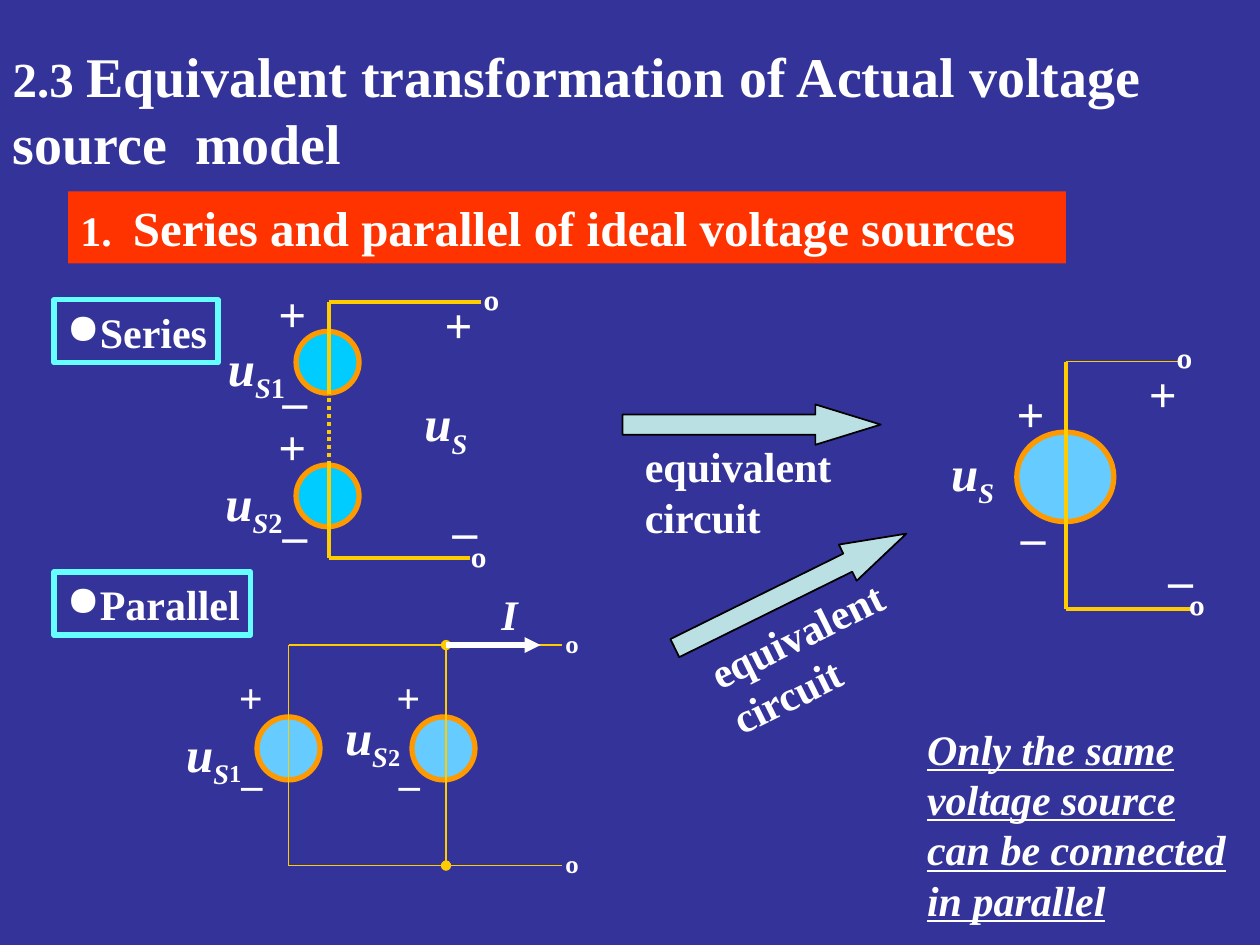
from typing import NamedTuple

from lxml.etree import SubElement
from pptx import Presentation
from pptx.dml.color import RGBColor
from pptx.enum.dml import MSO_LINE
from pptx.enum.shapes import MSO_CONNECTOR, MSO_SHAPE
from pptx.enum.text import MSO_ANCHOR, MSO_AUTO_SIZE, PP_ALIGN
from pptx.oxml.ns import qn
from pptx.util import Inches, Pt

FONT = "Times New Roman"
NAVY = RGBColor(0x33, 0x33, 0x99)
WHITE = RGBColor(0xFF, 0xFF, 0xFF)
BLACK = RGBColor(0x00, 0x00, 0x00)
RED = RGBColor(0xFF, 0x33, 0x00)
AQUA = RGBColor(0x66, 0xFF, 0xFF)
PALE_TEAL = RGBColor(0xBB, 0xE0, 0xE3)
SKY = RGBColor(0x66, 0xCC, 0xFF)
CYAN = RGBColor(0x00, 0xCC, 0xFF)
ORANGE = RGBColor(0xFF, 0x99, 0x00)
YELLOW = RGBColor(0xFF, 0xCC, 0x00)


class Box(NamedTuple):
    left: float
    top: float
    width: float
    height: float


class Span(NamedTuple):
    text: str
    size: float
    italic: bool = False
    underline: bool = False
    subscript: bool = False


class Source(NamedTuple):
    box: Box
    fill: RGBColor


class Mark(NamedTuple):
    text: str
    x: float  # centre of the mark's box
    y: float
    size: float = 28


class Name(NamedTuple):
    index: str
    left: float
    top: float
    index_size: float = 28


class Wire(NamedTuple):
    x1: float
    y1: float
    x2: float
    y2: float
    width: float = 2.25
    color: RGBColor = YELLOW
    dash: MSO_LINE | None = None
    head: str = ""
    tail: str = ""


class Circuit(NamedTuple):
    sources: list[Source]
    wires: list[Wire]
    marks: list[Mark]
    names: list[Name]


def write(shape, spans: list[Span], wrap: bool = True, align=PP_ALIGN.LEFT,
          anchor=MSO_ANCHOR.TOP, bullet: str = "") -> None:
    frame = shape.text_frame
    frame.auto_size = MSO_AUTO_SIZE.NONE
    frame.word_wrap = wrap
    frame.vertical_anchor = anchor
    paragraph = frame.paragraphs[0]
    paragraph.alignment = align
    paragraph.space_before = Pt(0)
    if bullet:
        SubElement(paragraph._p.get_or_add_pPr(), qn("a:buChar")).set("char", bullet)
    for span in spans:
        run = paragraph.add_run()
        run.text = span.text
        font = run.font
        font.name, font.size, font.bold = FONT, Pt(span.size), True
        font.italic, font.underline = span.italic, span.underline
        font.color.rgb = WHITE
        if span.subscript:
            run._r.get_or_add_rPr().set("baseline", "-25000")


def add_text(slide, box: Box, spans: list[Span], **options):
    shape = slide.shapes.add_textbox(*map(Inches, box))
    write(shape, spans, **options)
    return shape


def add_figure(slide, kind, box: Box, fill: RGBColor | None = None,
               line: RGBColor | None = None, line_width: float = 3):
    shape = slide.shapes.add_shape(kind, *map(Inches, box))
    shape.shadow.inherit = False
    if fill is None:
        shape.fill.background()
    else:
        shape.fill.solid()
        shape.fill.fore_color.rgb = fill
    if line is None:
        shape.line.fill.background()
    else:
        shape.line.color.rgb = line
        shape.line.width = Pt(line_width)
    return shape


def add_wire(slide, wire: Wire) -> None:
    connector = slide.shapes.add_connector(
        MSO_CONNECTOR.STRAIGHT, *map(Inches, (wire.x1, wire.y1, wire.x2, wire.y2)))
    connector.line.color.rgb = wire.color
    connector.line.width = Pt(wire.width)
    if wire.dash:
        connector.line.dash_style = wire.dash
    line = connector.line._get_or_add_ln()
    for tag, kind in (("a:headEnd", wire.head), ("a:tailEnd", wire.tail)):
        if kind:
            SubElement(line, qn(tag)).set("type", kind)
    SubElement(connector._element.spPr, qn("a:effectLst"))


def add_circuit(slide, circuit: Circuit) -> None:
    for source in circuit.sources:
        add_figure(slide, MSO_SHAPE.OVAL, source.box, source.fill, ORANGE)
    for wire in circuit.wires:
        add_wire(slide, wire)
    for mark in circuit.marks:
        box = Box(mark.x - 0.22, mark.y - 0.28, 0.44, 0.56)
        add_text(slide, box, [Span(mark.text, mark.size)],
                 align=PP_ALIGN.CENTER, anchor=MSO_ANCHOR.MIDDLE)
    for name in circuit.names:
        spans = [Span("u", 28, italic=True), Span("S", 28, italic=True, subscript=True)]
        if name.index:
            spans.append(Span(name.index, name.index_size, subscript=True))
        add_text(slide, Box(name.left, name.top, 0.83, 0.57), spans)


def add_equivalence(slide, arrow_box: Box, text_box: Box, rotation: float = 0) -> None:
    arrow = add_figure(slide, MSO_SHAPE.RIGHT_ARROW, arrow_box, PALE_TEAL, BLACK, 1)
    arrow.adjustments[0], arrow.adjustments[1] = 0.5, 1.62
    caption = add_text(slide, text_box, [Span("equivalent circuit", 24)])
    arrow.rotation = caption.rotation = rotation


SERIES = Circuit(
    [Source(Box(2.35, top, 0.5, 0.49), CYAN) for top in (2.63, 3.69)],
    [Wire(2.61, 2.4, 2.61, 3.12), Wire(2.61, 2.4, 3.82, 2.4),
     Wire(2.61, 4.43, 3.73, 4.43), Wire(2.61, 4.43, 2.61, 3.69),
     Wire(2.61, 3.69, 2.61, 3.12, dash=MSO_LINE.ROUND_DOT)],
    [Mark("+", 2.32, 2.48), Mark("_", 2.34, 3.04), Mark("+", 2.32, 3.54),
     Mark("_", 2.34, 4.1), Mark("+", 3.64, 2.57), Mark("_", 3.69, 4.07),
     Mark("º", 3.9, 2.46), Mark("º", 3.8, 4.5)],
    [Name("1", 1.71, 2.63), Name("2", 1.69, 3.7), Name("", 3.27, 3.07)])

PARALLEL = Circuit(
    [Source(Box(left, 5.69, 0.5, 0.5), SKY) for left in (2.04, 3.27)],
    [Wire(2.29, 5.12, 2.29, 6.87, 1),
     Wire(3.54, 5.12, 3.54, 6.87, 1, head="oval", tail="oval"),
     Wire(2.29, 5.12, 4.46, 5.12, 1), Wire(2.29, 6.87, 4.46, 6.87, 1),
     Wire(3.54, 5.12, 4.29, 5.12, 3, WHITE, tail="triangle")],
    [Mark("+", 1.99, 5.53, 24), Mark("_", 2, 6.1, 24),
     Mark("+", 3.24, 5.53, 24), Mark("_", 3.25, 6.1, 24),
     Mark("º", 4.54, 5.18, 24), Mark("º", 4.54, 6.93, 24)],
    [Name("1", 1.38, 5.69, 24), Name("2", 2.64, 5.56, 24)])

EQUIVALENT = Circuit(
    [Source(Box(8.07, 3.43, 0.77, 0.71), SKY)],
    [Wire(8.46, 2.87, 8.46, 4.83), Wire(8.46, 2.87, 9.38, 2.87, 1),
     Wire(8.46, 4.83, 9.46, 4.83)],
    [Mark("+", 8.18, 3.28), Mark("_", 8.2, 4.12), Mark("+", 9.23, 3.12),
     Mark("_", 9.37, 4.46), Mark("º", 9.4, 2.92), Mark("º", 9.5, 4.88)],
    [Name("", 7.45, 3.46)])


def main() -> None:
    presentation = Presentation()
    presentation.slide_width, presentation.slide_height = Inches(10), Inches(7.5)
    slide = presentation.slides.add_slide(presentation.slide_layouts[5])
    slide.background.fill.solid()
    slide.background.fill.fore_color.rgb = NAVY

    # Heading, banner and closing remark
    title = slide.shapes.title
    title.left, title.top, title.width, title.height = map(Inches, (0, 0.28, 9.63, 1.18))
    write(title, [Span("2.3 ", 28),
                  Span("Equivalent transformation of Actual voltage source  model", 32)])
    banner = add_figure(slide, MSO_SHAPE.RECTANGLE, Box(0.54, 1.52, 7.92, 0.57), RED)
    write(banner, [Span("1.  ", 24),
                   Span("Series and parallel of ideal voltage sources", 28)])
    remark = add_figure(slide, MSO_SHAPE.RECTANGLE, Box(7.26, 5.69, 2.74, 1.72), NAVY)
    write(remark, [Span("Only the same voltage source can be connected in parallel",
                        24, italic=True, underline=True)])

    # Framed names of the two connections
    for text, top, width in (("Series", 2.38, 1.3), ("Parallel", 4.54, 1.56)):
        frame = add_figure(slide, MSO_SHAPE.RECTANGLE, Box(0.43, top, width, 0.5), line=AQUA)
        write(frame, [Span(text, 24)], wrap=False, bullet="●")

    # Circuits and the arrows between them
    add_equivalence(slide, Box(4.94, 3.21, 2.05, 0.32), Box(5.02, 3.45, 1.77, 0.91))
    add_equivalence(slide, Box(5.25, 4.53, 2.05, 0.32), Box(5.57, 4.75, 1.74, 0.91), 333.7)
    for circuit in (EQUIVALENT, SERIES, PARALLEL):
        add_circuit(slide, circuit)
    add_text(slide, Box(3.88, 4.62, 0.42, 0.5), [Span("I", 24, italic=True)])

    presentation.save("out.pptx")


if __name__ == "__main__":
    main()
